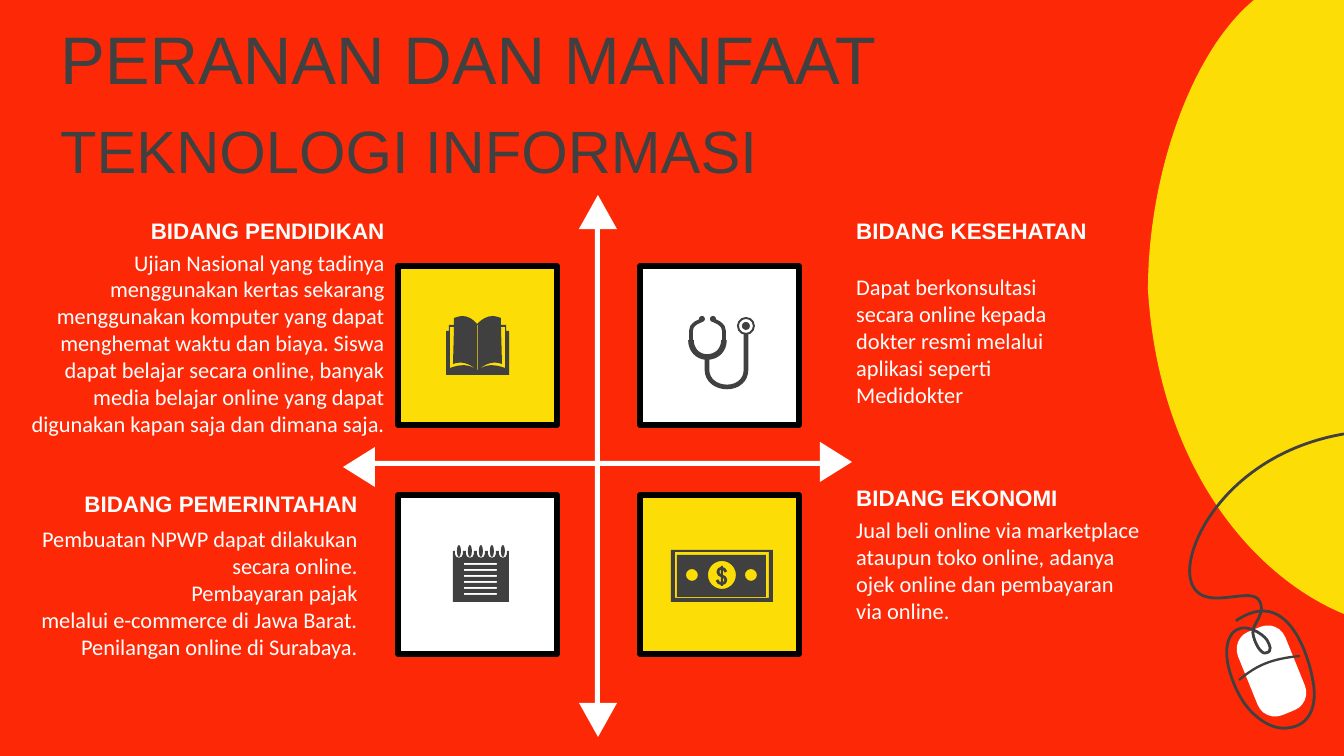
from dataclasses import dataclass

from lxml import etree
from pptx import Presentation
from pptx import util as u
from pptx.dml.color import RGBColor
from pptx.enum import shapes, text
from pptx.oxml.ns import qn

EMU_PER_PX = 9144000 / 1344
RED = RGBColor(0xFD, 0x29, 0x06)
YELLOW = RGBColor(0xFD, 0xDD, 0x06)
WHITE = RGBColor(0xFF, 0xFF, 0xFF)
BLACK = RGBColor(0, 0, 0)
GRAY = RGBColor(0x40, 0x40, 0x40)


def px(length: int) -> u.Emu:
    return u.Emu(round(length * EMU_PER_PX))


@dataclass
class Sector:
    heading: str
    lines: list[str]
    left: int
    width: int
    heading_top: int
    heading_height: int
    body_top: int
    body_height: int
    align: text.PP_ALIGN


@dataclass
class Block:
    kind: shapes.MSO_SHAPE
    left: int
    top: int
    width: int
    height: int
    fill: RGBColor = WHITE
    turn: float = 0
    border: float = 0


@dataclass
class Outline:
    """Commands in px: M move, L lines, C curves, O ellipse (centre, radii), Z close."""
    commands: str
    fill: RGBColor | None = GRAY
    weight: float = 0


# Outline commands
def rectangle(left: int, top: int, right: int, bottom: int) -> str:
    return f"M{left} {top} L{right} {top} {right} {bottom} {left} {bottom} Z"


def circles(*items: tuple[int, int, int]) -> str:
    return "".join(f"O{x} {y} {r} {r}" for x, y, r in items)


def split_commands(commands: str) -> list[tuple[str, list[tuple[int, int]]]]:
    for letter in "MLCOZ":
        commands = commands.replace(letter, "|" + letter)
    steps = []
    for part in commands.split("|")[1:]:
        numbers = [int(n) for n in part[1:].split()]
        steps.append((part[0], list(zip(numbers[::2], numbers[1::2]))))
    return steps


# Drawing functions
def draw_outline(page, outline: Outline) -> None:
    steps = split_commands(outline.commands)
    corners = []
    for letter, points in steps:
        if letter == "O":
            (x, y), (rx, ry) = points
            corners += [(x - rx, y - ry), (x + rx, y + ry)]
        else:
            corners += points[2::3] if letter == "C" else points
    (left, right), (top, bottom) = [(min(axis), max(axis)) for axis in zip(*corners)]
    builder = page.shapes.build_freeform(left, top, scale=EMU_PER_PX)
    builder.add_line_segments([(right, top), (right, bottom), (left, bottom)])
    shape = builder.convert_to_shape()
    track = shape.element.find(".//" + qn("a:path"))
    for child in list(track):
        track.remove(child)

    def add(tag: str, points=()) -> None:
        command = etree.SubElement(track, qn(tag))
        for x, y in points:
            etree.SubElement(command, qn("a:pt"), x=str(x - left), y=str(y - top))

    for letter, points in steps:
        if letter == "M":
            add("a:moveTo", points)
        elif letter == "L":
            for point in points:
                add("a:lnTo", [point])
        elif letter == "C":
            for i in range(0, len(points), 3):
                add("a:cubicBezTo", points[i:i + 3])
        elif letter == "O":
            (x, y), (rx, ry) = points
            add("a:moveTo", [(x + rx, y)])
            for angle in ("0", "10800000"):
                etree.SubElement(track, qn("a:arcTo"), wR=str(rx), hR=str(ry),
                                 stAng=angle, swAng="10800000")
            add("a:close")
        else:
            add("a:close")
    paint(shape, outline.fill, GRAY, outline.weight)


def paint(shape, fill: RGBColor | None, line: RGBColor, weight: float) -> None:
    shape.shadow.inherit = False
    if fill is None:
        shape.fill.background()
    else:
        shape.fill.solid()
        shape.fill.fore_color.rgb = fill
    if weight:
        shape.line.color.rgb = line
        shape.line.width = u.Pt(weight)
    else:
        shape.line.fill.background()


def draw_block(page, block: Block):
    shape = page.shapes.add_shape(block.kind, px(block.left), px(block.top),
                                  px(block.width), px(block.height))
    shape.rotation = block.turn
    paint(shape, block.fill, BLACK, block.border)
    return shape


def draw_text(page, left: int, top: int, width: int, height: int, lines: list[str],
              font: str, sizes: list[int], color: RGBColor,
              align: text.PP_ALIGN = text.PP_ALIGN.LEFT, bold: bool = False, gap: float = 0):
    box = page.shapes.add_textbox(px(left), px(top), px(width), px(height))
    frame = box.text_frame
    frame.word_wrap = True
    for i, line in enumerate(lines):
        para = frame.paragraphs[0] if i == 0 else frame.add_paragraph()
        para.text = line
        para.alignment = align
        if i and gap:
            para.space_before = u.Pt(gap)
        para.font.name = font
        para.font.size = u.Pt(sizes[i % len(sizes)])
        para.font.bold = bold
        para.font.color.rgb = color
    return frame


def draw_sector(page, sector: Sector) -> None:
    draw_text(page, sector.left, sector.body_top, sector.width, sector.body_height,
              sector.lines, "Calibri", [12], WHITE, sector.align)
    draw_text(page, sector.left, sector.heading_top, sector.width, sector.heading_height,
              [sector.heading], "Arial", [12], WHITE, sector.align, bold=True)


# Mouse and icons
DISC = Outline("M1254 0 L1344 0 1344 614 C1254 577 1159 468 1148 290 "
               "1148 176 1191 52 1254 0 Z", YELLOW)
CABLE = Outline(
    "M1236 621 C1288 585 1309 657 1313 681 1318 707 1309 726 1288 728 1270 731 1250 714 1241 698 "
    "1231 681 1220 650 1232 634 1243 620 1263 634 1267 640 1270 645 1273 652 1266 653 "
    "1261 655 1254 642 1253 633 1251 625 1269 612 1258 599 1247 587 1200 614 1191 581 "
    "1181 548 1228 454 1344 434", None, 1.5)
SEAM = Outline("M1239 680 C1257 665 1271 659 1300 656", None, 1.25)
BOOK = Outline(
    "M446 375 L446 331 449 331 449 325 454 325 454 318 C457 317 460 316 462 316 "
    "468 316 473 319 477 324 482 319 487 316 493 316 495 316 498 317 501 318 "
    "L501 325 506 325 506 331 509 331 509 375 Z"
    "M450 327 L454 327 453 364 C461 361 469 363 477 370 469 364 461 364 450 368 Z"
    "M505 327 L501 327 502 364 C494 361 486 363 478 370 486 364 494 364 505 368 Z"
    + rectangle(477, 325, 478, 370))
RINGS = range(459, 504, 11)
NOTEPAD = Outline(
    "M453 602 L453 551"
    + "".join(f"L{x - 4} 551 {x - 4} 554 C{x - 4} 559 {x + 4} 559 {x + 4} 554 L{x + 4} 551"
              for x in RINGS)
    + "L509 551 509 602 Z"
    + "".join(f"O{x} 551 2 6" for x in RINGS)
    + "".join(rectangle(464, y, 497, y + 2) for y in range(563, 594, 6)))
STETHOSCOPE = [
    Outline("M702 320 L696 323 C692 326 691 328 691 331 L691 340", None, 2),
    Outline("M713 320 L719 323 C723 326 724 328 724 331 L724 340", None, 2),
    Outline("M691 340 C691 350 698 357 707 357 717 357 724 350 724 340", None, 3),
    Outline("M707 356 L707 370 C707 380 716 387 727 387 738 387 746 380 746 370 L746 334",
            None, 2.5),
    Outline(circles((702, 319, 3), (713, 319, 3), (746, 326, 9), (746, 326, 7), (746, 326, 4))),
]
BANKNOTE = [
    Outline(rectangle(671, 550, 773, 602) + rectangle(675, 552, 769, 598)
            + rectangle(677, 555, 766, 597)
            + circles((692, 575, 6), (722, 575, 14), (751, 575, 6))),
    Outline("M726 572 C725 567 718 567 718 572 718 577 726 575 726 580 "
            "726 585 718 585 717 580", None, 1.5),
]
ICONS = [BOOK, NOTEPAD, *STETHOSCOPE, *BANKNOTE]

SECTORS = [
    Sector("BIDANG KESEHATAN",
           ["Dapat berkonsultasi secara online kepada dokter resmi melalui aplikasi "
            "seperti Medidokter"],
           843, 262, 211, 73, 267, 149, text.PP_ALIGN.LEFT),
    Sector("BIDANG EKONOMI",
           ["Jual beli online via marketplace ataupun toko online, adanya",
            "ojek online dan pembayaran", "via online."],
           843, 316, 478, 40, 510, 122, text.PP_ALIGN.LEFT),
    Sector("BIDANG PENDIDIKAN",
           ["Ujian Nasional yang tadinya", "menggunakan kertas sekarang",
            "menggunakan komputer yang dapat", "menghemat waktu dan biaya. Siswa",
            "dapat belajar secara online, banyak", "media belajar online yang dapat",
            "digunakan kapan saja dan dimana saja."],
           0, 398, 210, 28, 242, 210, text.PP_ALIGN.RIGHT),
    Sector("BIDANG PEMERINTAHAN",
           ["Pembuatan NPWP dapat dilakukan secara online.", "Pembayaran pajak",
            "melalui e-commerce di Jawa Barat.", "Penilangan online di Surabaya."],
           16, 355, 484, 136, 519, 176, text.PP_ALIGN.RIGHT),
]
BAR, HEAD = shapes.MSO_SHAPE.RECTANGLE, shapes.MSO_SHAPE.ISOSCELES_TRIANGLE
CROSS = [
    Block(BAR, 375, 461, 445, 5), Block(BAR, 595, 224, 5, 480),
    Block(HEAD, 579, 195, 38, 34), Block(HEAD, 816, 446, 40, 32, turn=90),
    Block(HEAD, 579, 703, 38, 34, turn=180), Block(HEAD, 339, 451, 40, 32, turn=270),
]
DOLLAR_STEM = Block(BAR, 721, 566, 2, 20, GRAY)
MOUSE = Block(shapes.MSO_SHAPE.ROUNDED_RECTANGLE, 1246, 626, 51, 90, turn=337.9)
TILES = [Block(BAR, left, top, 159, 159, YELLOW if row == column else WHITE, border=3)
         for row, top in enumerate((266, 495)) for column, left in enumerate((398, 640))]


def main() -> None:
    deck = Presentation()
    deck.slide_width, deck.slide_height = px(1344), px(756)
    page = deck.slides.add_slide(deck.slide_layouts[6])
    page.background.fill.solid()
    page.background.fill.fore_color.rgb = RED

    # Yellow disc and computer mouse
    draw_outline(page, DISC)
    draw_block(page, MOUSE).adjustments[0] = 0.37
    for outline in (CABLE, SEAM):
        draw_outline(page, outline)

    # Title
    title = draw_text(page, 47, 33, 1297, 137, ["PERANAN DAN MANFAAT", "TEKNOLOGI INFORMASI"],
                      "Arial", [36, 32], GRAY, gap=8.5)
    title.vertical_anchor = text.MSO_ANCHOR.MIDDLE

    # Tiles, icons, texts and arrow cross
    for tile in TILES:
        draw_block(page, tile)
    for icon in ICONS:
        draw_outline(page, icon)
    for sector in SECTORS:
        draw_sector(page, sector)
    for block in (DOLLAR_STEM, *CROSS):
        draw_block(page, block)

    deck.save("out.pptx")


if __name__ == "__main__":
    main()
